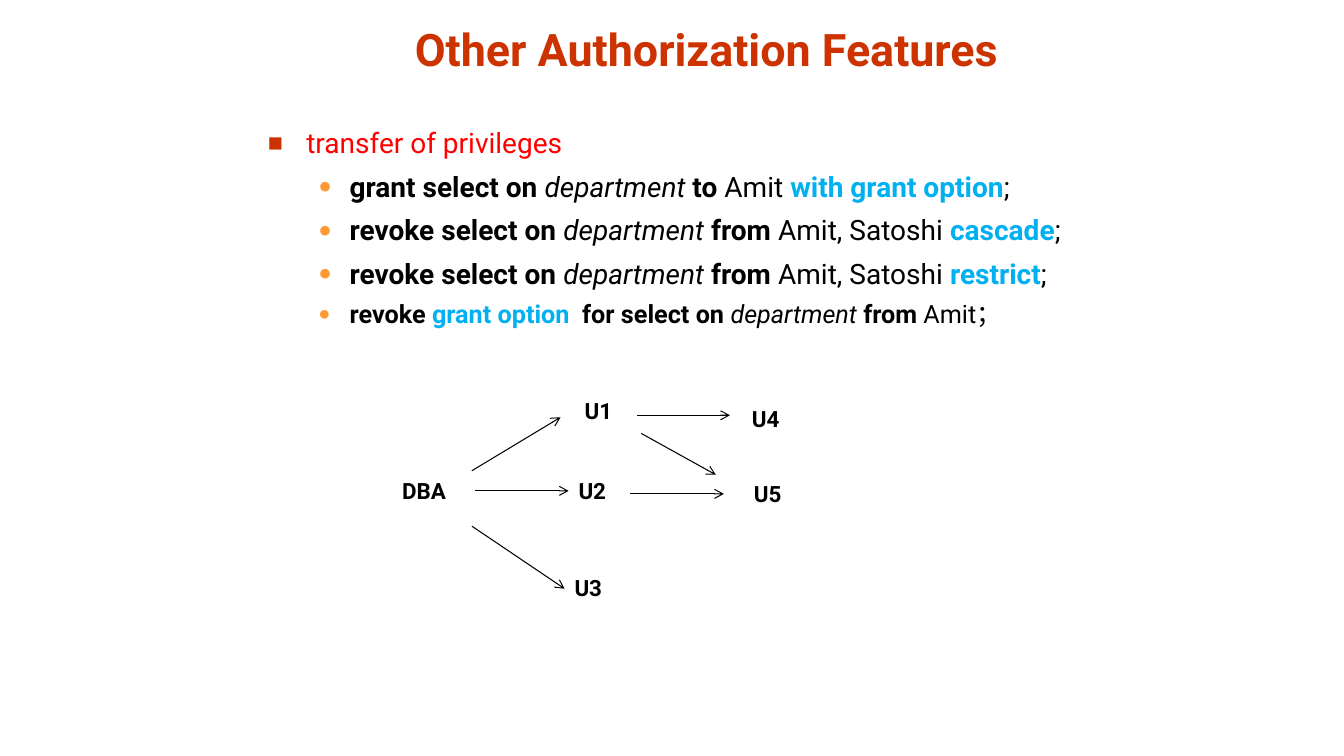
from lxml import etree
from pptx import Presentation
from pptx.dml.color import RGBColor
from pptx.enum.shapes import MSO_CONNECTOR
from pptx.enum.text import MSO_ANCHOR, MSO_AUTO_SIZE, PP_ALIGN
from pptx.oxml.ns import qn
from pptx.util import Inches, Pt

LINE = MSO_CONNECTOR.STRAIGHT
BOTTOM = MSO_ANCHOR.BOTTOM
NO_FIT = MSO_AUTO_SIZE.NONE
CENTER = PP_ALIGN.CENTER
WIDE, HIGH = Inches(13.33), Inches(7.5)
FONT = "Roboto"
HUES = {"title": "CC3300", "topic": "FF0000", "ink": "000000",
        "key": "00B0F0", "square": "CC3300", "dot": "FF9933"}
STYLES = {"topic": ("topic", False, False), "bold": ("ink", True, False),
          "name": ("ink", False, True), "plain": ("ink", False, False),
          "key": ("key", True, False), "title": ("title", True, False)}
MARKS = {"square": ("■", 90, 0.38, 0.38), "dot": ("●", 80, 0.81, 0.31)}


def revoke(mode):
    """Return the runs of a revoke statement that ends in a mode."""
    return [("revoke select on ", "bold"), ("department ", "name"),
            ("from ", "bold"), ("Amit, Satoshi ", "plain"),
            (mode, "key"), (";", "plain")]


ITEMS = [
    ("square", 20, [("transfer of privileges", "topic")]),
    ("dot", 20, [("grant select on ", "bold"), ("department ", "name"),
                 ("to ", "bold"), ("Amit ", "plain"),
                 ("with grant option", "key"), (";", "plain")]),
    ("dot", 20, revoke("cascade")),
    ("dot", 20, revoke("restrict")),
    ("dot", 18, [("revoke ", "bold"), ("grant option  ", "key"),
                 ("for select on ", "bold"), ("department ", "name"),
                 ("from ", "bold"), ("Amit；", "plain")]),
]
NODES = {"DBA": (29.18, 62.4), "U1": (42.76, 51.87), "U2": (42.31, 62.4),
         "U3": (42.01, 75.33), "U4": (55.21, 52.93), "U5": (55.36, 62.8)}
GRANTS = [
    (35.33, 64.93, 42.31, 64.93),
    (46.89, 65.33, 53.86, 65.33),
    (47.41, 54.93, 54.31, 54.93),
    (35.11, 62.27, 41.71, 55.2),
    (35.11, 69.6, 42.01, 77.87),
    (47.71, 57.33, 53.26, 62.8),
]


def place(x, y, w, h):
    """Turn percent shares of the slide into lengths."""
    return [round(part * side / 100)
            for part, side in zip((x, y, w, h), (WIDE, HIGH) * 2)]


def style(run, size, kind):
    """Format one run by the name of its style."""
    hue, bold, slant = STYLES[kind]
    font = run.font
    font.name, font.size, font.bold, font.italic = FONT, Pt(size), bold, slant
    font.color.rgb = RGBColor.from_string(HUES[hue])


def add_title(slide, text):
    """Move and format the title."""
    shape = slide.shapes.title
    shape.left, shape.top, shape.width, shape.height = place(
        8.4, 1.73, 88.37, 8.93)
    frame = shape.text_frame
    frame.text = text
    frame.auto_size = NO_FIT
    frame.vertical_anchor = BOTTOM
    para = frame.paragraphs[0]
    para.alignment = CENTER
    style(para.runs[0], 32, "title")


def add_mark(para, kind):
    """Give a paragraph its bullet and hanging indent."""
    char, size, left, hang = MARKS[kind]
    props = para._p.get_or_add_pPr()
    props.set("marL", str(Inches(left)))
    props.set("indent", str(-Inches(hang)))
    props.set("lvl", str(list(MARKS).index(kind)))
    color = etree.SubElement(props, qn("a:buClr"))
    etree.SubElement(color, qn("a:srgbClr"), val=HUES[kind])
    etree.SubElement(props, qn("a:buSzPct"), val=str(size * 1000))
    etree.SubElement(props, qn("a:buFont"), typeface="Arial")
    etree.SubElement(props, qn("a:buChar"), char=char)


def add_list(slide, items):
    """Add the bulleted statements."""
    frame = slide.shapes.add_textbox(*place(19.2, 16, 62.87, 28.53)).text_frame
    frame.word_wrap = True
    for i, (mark, size, parts) in enumerate(items):
        para = frame.add_paragraph() if i else frame.paragraphs[0]
        para.space_before = Pt(size * 0.35)
        add_mark(para, mark)
        for text, kind in parts:
            run = para.add_run()
            run.text = text
            style(run, size, kind)


def add_node(slide, text, x, y):
    """Add the label of one user in the grant graph."""
    frame = slide.shapes.add_textbox(*place(x, y, 6.2, 4.93)).text_frame
    frame.word_wrap = True
    frame.text = text
    style(frame.paragraphs[0].runs[0], 16, "bold")


def add_arrow(slide, ends):
    """Add an arrow for one grant."""
    arrow = slide.shapes.add_connector(LINE, *place(*ends))
    arrow.line.width = Pt(0.75)
    arrow.line.color.rgb = RGBColor.from_string(HUES["ink"])
    etree.SubElement(arrow.line._get_or_add_ln(), qn("a:tailEnd"), type="arrow")
    etree.SubElement(arrow._element.spPr, qn("a:effectLst"))


def main():
    """Build and save the slide."""
    deck = Presentation()
    deck.slide_width, deck.slide_height = WIDE, HIGH
    slide = deck.slides.add_slide(deck.slide_layouts[5])
    add_title(slide, "Other Authorization Features")
    add_list(slide, ITEMS)
    for text, spot in NODES.items():
        add_node(slide, text, *spot)
    for ends in GRANTS:
        add_arrow(slide, ends)
    deck.save("out.pptx")


if __name__ == "__main__":
    main()
